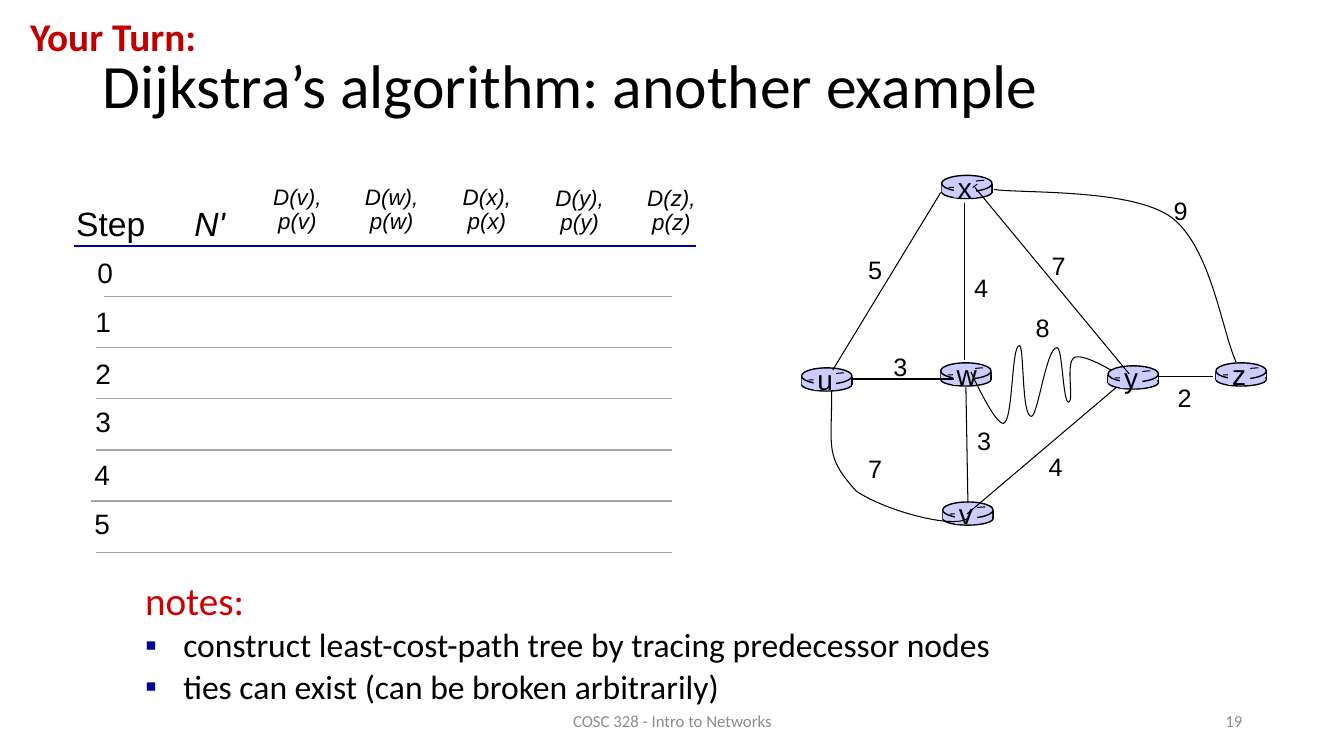
import pptx
import pptx.dml.color
import pptx.enum.shapes
import pptx.enum.text
import pptx.util
from lxml import etree
from pptx.util import Inches

SHAPE = pptx.enum.shapes.MSO_SHAPE
ALIGN = {"l": pptx.enum.text.PP_ALIGN.LEFT,
         "c": pptx.enum.text.PP_ALIGN.CENTER,
         "r": pptx.enum.text.PP_ALIGN.RIGHT}
BLACK = "000000"
LILAC = "CCCCFF"
GRAY = "8C8C8C"


def color(code):
    return pptx.dml.color.RGBColor.from_string(code)


def add_tag(parent, tag, **attrs):
    return etree.SubElement(parent, pptx.oxml.ns.qn(tag), attrs)


class Sketch:
    """Holds the current slide and the style of the drawing."""

    def __init__(self, slide):
        self.shapes = slide.shapes
        self.thin = 0.75

    def text(self, text, left, top, width, height, size=18, font="Arial", ink=BLACK,
             align="l", bold=False, slant=False, wrap=False, middle=False, space=1.0):
        """Adds a box with one paragraph per line of text; returns its frame."""
        box = self.shapes.add_textbox(Inches(left), Inches(top), Inches(width), Inches(height))
        frame = box.text_frame
        frame.word_wrap = wrap
        if middle:
            frame.vertical_anchor = pptx.enum.text.MSO_ANCHOR.MIDDLE
        frame.text = text
        for para in frame.paragraphs:
            para.alignment = ALIGN[align]
            para.line_spacing = space
            style = para.font
            style.name, style.size = font, pptx.util.Pt(size)
            style.bold, style.italic = bold, slant
            style.color.rgb = color(ink)
        return frame

    def line(self, x1, y1, x2, y2, ink=BLACK, width=0.75):
        link = self.shapes.add_connector(pptx.enum.shapes.MSO_CONNECTOR.STRAIGHT,
                                         Inches(x1), Inches(y1), Inches(x2), Inches(y2))
        link.line.color.rgb = color(ink)
        link.line.width = pptx.util.Pt(width)
        add_tag(link._element.spPr, "a:effectLst")

    def solid(self, kind, left, top, width, height, edge=False):
        shape = self.shapes.add_shape(kind, Inches(left), Inches(top),
                                      Inches(width), Inches(height))
        shape.shadow.inherit = False
        shape.fill.solid()
        shape.fill.fore_color.rgb = color(LILAC)
        if edge:
            shape.line.color.rgb = color(BLACK)
            shape.line.width = pptx.util.Pt(1)
        else:
            shape.line.fill.background()

    def curve(self, start, *bends, fill=None):
        """Draws a chain of cubic bends, each given as x1, y1, x2, y2, x3, y3."""
        points = [(Inches(bend[i]), Inches(bend[i + 1])) for bend in bends for i in (0, 2, 4)]
        build = self.shapes.build_freeform(Inches(start[0]), Inches(start[1]))
        build.add_line_segments(points, close=bool(fill))
        shape = build.convert_to_shape()
        steps = list(shape._element.iter(pptx.oxml.ns.qn("a:lnTo")))
        for i in range(0, len(steps), 3):
            bend = etree.Element(pptx.oxml.ns.qn("a:cubicBezTo"))
            steps[i].addprevious(bend)
            for step in steps[i:i + 3]:
                bend.append(step[0])
                step.getparent().remove(step)
        shape.shadow.inherit = False
        if fill:
            shape.fill.solid()
            shape.fill.fore_color.rgb = color(fill)
        else:
            shape.fill.background()
        shape.line.color.rgb = color(BLACK)
        shape.line.width = pptx.util.Pt(self.thin)

    def node(self, name, x, y):
        """Draws a router: a flat drum with its name on top."""
        self.solid(SHAPE.OVAL, x, y + 0.1, 0.5, 0.13, edge=True)
        for side in (x, x + 0.5):
            self.line(side, y + 0.09, side, y + 0.17, width=1)
        self.solid(SHAPE.RECTANGLE, x, y + 0.09, 0.49, 0.08)
        self.solid(SHAPE.OVAL, x, y, 0.5, 0.16, edge=True)
        self.curve((x + 0.07, y + 0.12), (x + 0.25, y + 0.12, x + 0.25, y + 0.05,
                                          x + 0.42, y + 0.05))
        self.solid(SHAPE.RECTANGLE, x + 0.12, y + 0.05, 0.22, 0.17)
        self.text(name, x + 0.06, y - 0.1, 0.34, 0.43, size=20, align="c")

    def cost(self, text, left, top):
        self.text(text, left, top, 0.34, 0.4, align="c")

    def notes(self, head, *items):
        frame = self.text("\n".join((head, *items)), 1.34, 5.74, 9.74, 1.55, size=24,
                          font="Calibri", wrap=True, space=0.85)
        first, *rest = frame.paragraphs
        first.font.size = pptx.util.Pt(28)
        first.font.color.rgb = color("CC0000")
        for para in rest:
            para.space_before = pptx.util.Pt(5)
            props = para._p.get_or_add_pPr()
            props.set("marL", str(Inches(0.38)))
            props.set("indent", str(-Inches(0.38)))
            tint = etree.Element(pptx.oxml.ns.qn("a:buClr"))
            add_tag(tint, "a:srgbClr", val="000099")
            face = etree.Element(pptx.oxml.ns.qn("a:buFont"), typeface="Arial")
            mark = etree.Element(pptx.oxml.ns.qn("a:buChar"), char="▪")
            after = props.find(pptx.oxml.ns.qn("a:defRPr"))
            for part in (tint, face, mark):
                after.addprevious(part)


def draw_net(sketch):
    for name, x, y in (("w", 9.33, 3.6), ("v", 9.35, 4.98), ("x", 9.34, 1.74), ("u", 7.95, 3.65)):
        sketch.node(name, x, y)
    for ends in ((8.46, 3.76, 9.46, 3.76), (9.57, 2.01, 9.57, 3.57), (9.33, 1.91, 8.26, 3.67),
                 (9.58, 3.84, 9.6, 4.99), (11.17, 3.76, 9.59, 5.1)):
        sketch.line(*ends)
    sketch.curve((8.25, 3.87), (8.25, 4.46, 8.18, 4.52, 8.49, 4.87),
                 (8.8, 5.08, 9.51, 5.26, 9.61, 5.13))
    sketch.curve((9.63, 3.69), (9.63, 3.69, 9.86, 4.2, 9.95, 4.2),
                 (10.05, 4.2, 10.03, 3.42, 10.11, 3.43), (10.16, 3.41, 10.13, 4.14, 10.23, 4.13),
                 (10.29, 4.14, 10.38, 3.45, 10.48, 3.45), (10.54, 3.42, 10.54, 4, 10.6, 3.99),
                 (10.66, 3.97, 10.55, 3.54, 10.68, 3.54), (10.81, 3.53, 11.09, 3.72, 11.2, 3.77))
    sketch.node("y", 10.99, 3.63)
    sketch.node("z", 12.06, 3.6)
    sketch.line(11.47, 3.74, 12.03, 3.74)
    sketch.line(9.67, 1.86, 11.2, 3.71)
    sketch.curve((9.65, 1.86), (9.66, 1.85, 9.69, 1.83, 9.69, 1.83),
                 (9.69, 1.83, 9.66, 1.85, 9.65, 1.86), fill="00CC99")
    sketch.curve((9.86, 1.88), (10.15, 1.92, 11.21, 1.87, 11.61, 2.15),
                 (12.01, 2.44, 12.12, 3.29, 12.26, 3.59))
    for text, x, y in (("3", 8.76, 3.44), ("4", 9.56, 2.65), ("5", 8.51, 2.47),
                       ("3", 9.59, 4.17), ("7", 8.51, 4.45), ("4", 10.3, 4.43),
                       ("8", 10.17, 3.05), ("2", 11.58, 3.74), ("7", 10.33, 2.43),
                       ("9", 11.54, 1.89)):
        sketch.cost(text, x, y)


def draw_steps(sketch):
    sketch.text("Step", 0.65, 1.96, 0.89, 0.91, size=24, align="r")
    sketch.text("N'", 1.82, 1.96, 0.51, 0.5, size=24, align="r", slant=True)
    for name, left, top, width in (("v", 2.6, 1.8, 0.7), ("w", 3.51, 1.8, 0.75),
                                   ("x", 4.48, 1.8, 0.7), ("y", 5.4, 1.81, 0.7),
                                   ("z", 6.31, 1.81, 0.7)):
        sketch.text(f"D({name}),\np({name})", left, top, width, 0.59, size=16,
                    align="c", slant=True, space=0.9)
    rows = ((0.86, 2.49, 1.03), (0.84, 2.97, 0.95), (0.84, 3.49, 0.95),
            (0.84, 3.96, 0.95), (0.83, 4.49, 0.9), (0.83, 4.98, 0.95))
    first, last = 2.94, 5.48
    for step, (left, top, start) in enumerate(rows):
        sketch.text(str(step), left, top, 0.36, 0.44, size=20, align="r")
        rule = first + (last - first) * step / (len(rows) - 1)
        sketch.line(start, rule, 6.67, rule, ink="A6A6A6", width=1)
    sketch.line(0.73, 2.44, 6.9, 2.44, ink="0000A8", width=2)


def main():
    deck = pptx.Presentation()
    deck.slide_width, deck.slide_height = Inches(13.33), Inches(7.5)
    sketch = Sketch(deck.slides.add_slide(deck.slide_layouts[6]))
    sketch.text("Dijkstra’s algorithm: another example", 0.92, 0.39, 12.23, 0.98, size=44,
                font="Calibri", wrap=True, middle=True, space=0.9)
    draw_net(sketch)
    draw_steps(sketch)
    sketch.notes("notes:", "construct least-cost-path tree by tracing predecessor nodes",
                 "ties can exist (can be broken arbitrarily)")
    for text, left, width, align in (("COSC 328 - Intro to Networks", 4.42, 4.5, "c"),
                                     ("19", 9.42, 3, "r")):
        sketch.text(text, left, 6.95, width, 0.4, size=12, font="Calibri", ink=GRAY,
                    align=align, wrap=True, middle=True)
    sketch.text("Your Turn:", 0.2, 0.07, 6.66, 0.57, size=28, font="Calibri",
                ink="C00000", bold=True, wrap=True)
    deck.save("out.pptx")


if __name__ == "__main__":
    main()
